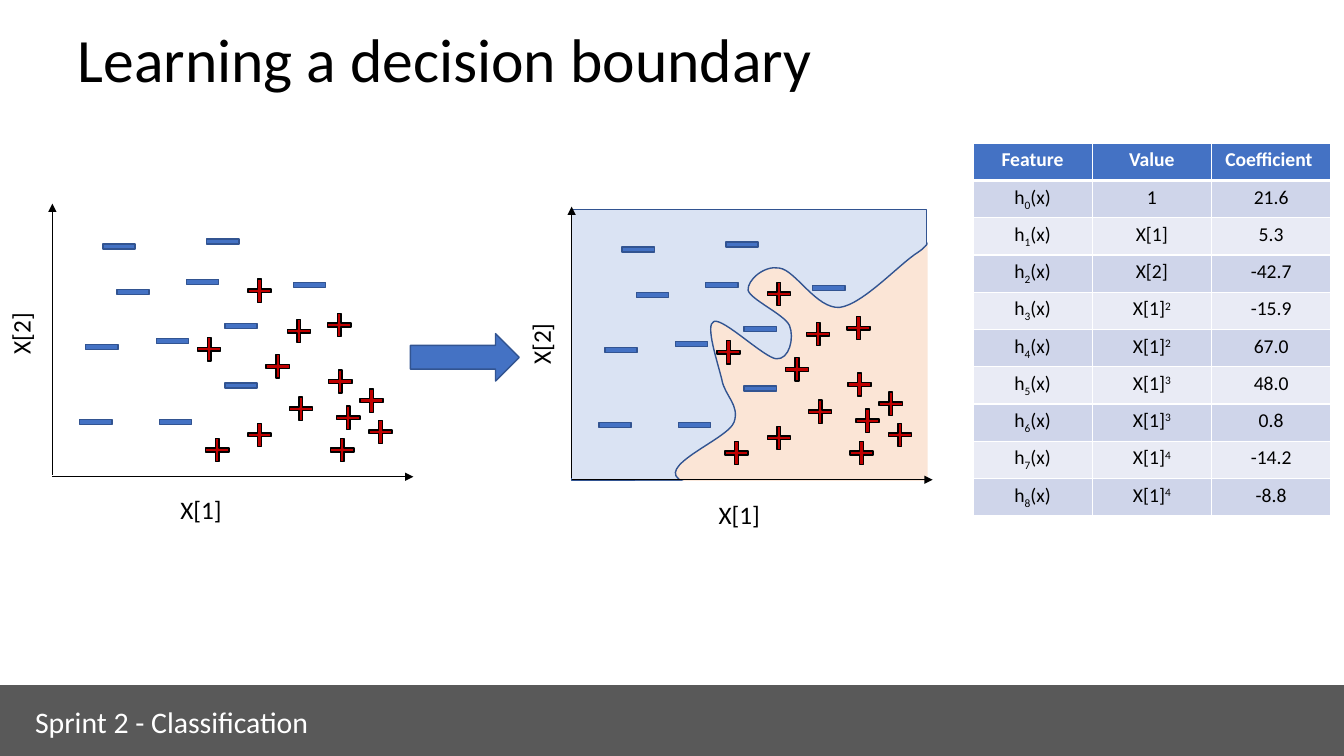
from lxml import etree
from pptx import Presentation
from pptx.dml.color import RGBColor
from pptx.enum import shapes as kinds, text as layout
from pptx.oxml import ns
from pptx.util import Inches, Pt

TITLE = "Learning a decision boundary"
FOOTER = "Sprint 2 - Classification"
BLUE, NAVY, RED, BLACK, WHITE, GREY = "4472C4", "325491", "C00000", "000000", "FFFFFF", "595959"
BANDS = ["CFD5EA", "E9EBF5"]

NEGATIVES = [(1.55, 3.36), (1.16, 2.87), (0.79, 4.16), (2.05, 2.37), (2.23, 3.21), (1.58, 4.16),
             (2.91, 2.8), (2.23, 3.8), (0.85, 3.42), (1.02, 2.42), (1.85, 2.77)]
POSITIVES = [(3.26, 3.67), (2.87, 3.94), (2.64, 3.52), (3.25, 3.11), (2.46, 4.2), (3.28, 4.35),
             (1.96, 3.35), (3.66, 4.17), (2.85, 3.17), (2.46, 2.77), (2.04, 4.35), (3.34, 4.03),
             (3.57, 3.86)]
AXES = [((0.52, 4.71), (0.52, 2.02)), ((0.52, 4.73), (4.1, 4.73))]
PLOTS = [
    {"shift": (0, 0), "X[1]": (1.69, 4.85), "X[2]": (-0.16, 3.05)},
    {"shift": (5.15, 0.03), "X[1]": (7.03, 4.9), "X[2]": (5, 3.15)},
]
BOUNDARY_FRAME = (6.7, 2.21, 2.81, 2.97)
BOUNDARY_START = (9.11, 2.5)
BOUNDARY_CURVES = [
    ((8.93, 2.61), (8.56, 3.02), (8.33, 3.05)),
    ((8.1, 3.07), (7.89, 2.68), (7.73, 2.66)),
    ((7.58, 2.63), (7.41, 2.78), (7.42, 2.88)),
    ((7.44, 2.97), (7.78, 3.12), (7.83, 3.23)),
    ((7.88, 3.35), (7.83, 3.57), (7.7, 3.56)),
    ((7.58, 3.55), (7.17, 3.15), (7.08, 3.19)),
    ((6.99, 3.22), (7.12, 3.6), (7.16, 3.77)),
    ((7.19, 3.93), (7.34, 4.02), (7.28, 4.19)),
    ((7.22, 4.36), (6.45, 4.64), (6.78, 4.78)),
    ((7.11, 4.92), (8.81, 5.43), (9.25, 5.03)),
    ((9.69, 4.63), (9.45, 2.81), (9.42, 2.39)),
    ((9.4, 1.97), (9.29, 2.39), BOUNDARY_START),
]
HEADINGS = ["Feature", "Value", "Coefficient "]
FEATURES = [("1", "", "21.6"), ("X[1]", "", "5.3"), ("X[2]", "", "-42.7"),
            ("X[1]", "2", "-15.9"), ("X[1]", "2", "67.0"), ("X[1]", "3", "48.0"),
            ("X[1]", "3", "0.8"), ("X[1]", "4", "-14.2"), ("X[1]", "4", "-8.8")]

prs = Presentation()
prs.slide_width, prs.slide_height = Inches(13.33), Inches(7.5)
slide = prs.slides.add_slide(prs.slide_layouts[5])


def color(value):
    return RGBColor.from_string(value)


def write(frame, *pieces, size=18, ink=BLACK, bold=False, align=layout.PP_ALIGN.LEFT, spacing=None):
    paragraph = frame.paragraphs[0]
    paragraph.alignment = align
    paragraph.line_spacing = spacing
    for piece in pieces:
        words, baseline = piece if isinstance(piece, tuple) else (piece, 0)
        if not words:
            continue
        run = paragraph.add_run()
        run.text = words
        run.font.name, run.font.size, run.font.bold = "Calibri", Pt(size), bold
        run.font.color.rgb = color(ink)
        if baseline:
            run._r.get_or_add_rPr().set("baseline", str(baseline * 1000))


def paint(shape, fill=None, line=None, width=1):
    shape.shadow.inherit = False
    if fill:
        shape.fill.solid()
        shape.fill.fore_color.rgb = color(fill)
    else:
        shape.fill.background()
    if line:
        shape.line.color.rgb = color(line)
        shape.line.width = Pt(width)
    else:
        shape.line.fill.background()


def draw(kind, x, y, w, h, **look):
    shape = slide.shapes.add_shape(kind, Inches(x), Inches(y), Inches(w), Inches(h))
    paint(shape, **look)
    return shape


def label(words, x, y, rotation):
    box = slide.shapes.add_textbox(Inches(x), Inches(y), Inches(0.73), Inches(0.4))
    box.rotation = rotation
    box.text_frame.word_wrap = True
    write(box.text_frame, words)


def axis(start, end):
    arrow = slide.shapes.add_connector(kinds.MSO_CONNECTOR.STRAIGHT, *map(Inches, start + end))
    arrow.line.color.rgb = color(BLACK)
    arrow.line.width = Pt(1)
    etree.SubElement(arrow.line._get_or_add_ln(), ns.qn("a:tailEnd"), type="triangle")
    etree.SubElement(arrow._element.spPr, ns.qn("a:effectLst"))


def draw_curves(start, curves, frame, **look):
    left, top, width, height = map(Inches, frame)

    def place(x, y):
        return {"x": str(Inches(x) - left), "y": str(Inches(y) - top)}

    builder = slide.shapes.build_freeform(Inches(start[0]), Inches(start[1]))
    builder.add_line_segments([tuple(map(Inches, curve[-1])) for curve in curves], close=True)
    shape = builder.convert_to_shape()
    shape.left, shape.top, shape.width, shape.height = left, top, width, height
    outline = next(shape._element.iter(ns.qn("a:path")))
    outline.set("w", str(width))
    outline.set("h", str(height))
    outline[0][0].attrib.update(place(*start))
    for segment, curve in zip(list(outline.iter(ns.qn("a:lnTo"))), curves):
        bend = etree.Element(ns.qn("a:cubicBezTo"))
        for point in curve:
            etree.SubElement(bend, ns.qn("a:pt"), place(*point))
        outline.replace(segment, bend)
    paint(shape, **look)


def underline(cell, width):
    edge = etree.Element(ns.qn("a:lnB"), w=str(Pt(width)))
    fill = etree.SubElement(edge, ns.qn("a:solidFill"))
    etree.SubElement(fill, ns.qn("a:srgbClr"), val=WHITE)
    cell._tc.get_or_add_tcPr().insert(0, edge)


RECT = kinds.MSO_SHAPE.RECTANGLE

title = slide.shapes.title
title.left, title.top, title.width, title.height = map(Inches, (0.67, 0, 12, 1.25))
title.text_frame.vertical_anchor = layout.MSO_ANCHOR.MIDDLE
write(title.text_frame, TITLE, size=44, spacing=0.9)

draw(RECT, 5.67, 2.08, 3.52, 2.69, fill="DAE3F3", line=NAVY)
draw_curves(BOUNDARY_START, BOUNDARY_CURVES, BOUNDARY_FRAME, fill="FBE5D6", line=NAVY)
draw(RECT, 7.84, 3.34, 3.22, 0.5, fill=WHITE).rotation = 90
draw(RECT, 6.3, 4.77, 3.22, 0.5, fill=WHITE)

for plot in PLOTS:
    dx, dy = plot["shift"]
    for ends in AXES:
        axis(*((x + dx, y + dy) for x, y in ends))
    for x, y in NEGATIVES:
        draw(RECT, x + dx, y + dy, 0.32, 0.05, fill=BLUE, line=NAVY)
    for x, y in POSITIVES:
        plus = draw(kinds.MSO_SHAPE.CROSS, x + dx, y + dy, 0.23, 0.23, fill=RED, line=BLACK)
        plus.adjustments[0] = 0.42
    label("X[1]", *plot["X[1]"], rotation=0)
    label("X[2]", *plot["X[2]"], rotation=270)

draw(kinds.MSO_SHAPE.RIGHT_ARROW, 4.07, 3.31, 1.08, 0.47, fill=BLUE, line=NAVY)

rows = [[[heading] for heading in HEADINGS]]
for index, (base, power, coefficient) in enumerate(FEATURES):
    rows.append([["h", (str(index), -25), "(x)"], [base, (power, 30)], [coefficient]])
table = slide.shapes.add_table(len(rows), len(HEADINGS), Inches(9.65), Inches(1.42),
                               Inches(3.55), Inches(3.7)).table
for r, row in enumerate(rows):
    for c, pieces in enumerate(row):
        cell = table.cell(r, c)
        cell.fill.solid()
        cell.fill.fore_color.rgb = color(BANDS[(r - 1) % 2] if r else BLUE)
        write(cell.text_frame, *pieces, size=14, ink=BLACK if r else WHITE, bold=r == 0,
              align=layout.PP_ALIGN.CENTER)
        if r == 0:
            underline(cell, 3)

draw(RECT, -0.02, 6.8, 13.35, 0.7, fill=GREY, line=GREY)
footer = draw(RECT, 0.25, 6.93, 3.36, 0.46, line=GREY, width=0.75)
footer.text_frame.word_wrap = True
write(footer.text_frame, FOOTER, size=21.3, ink=WHITE)

prs.save("out.pptx")
